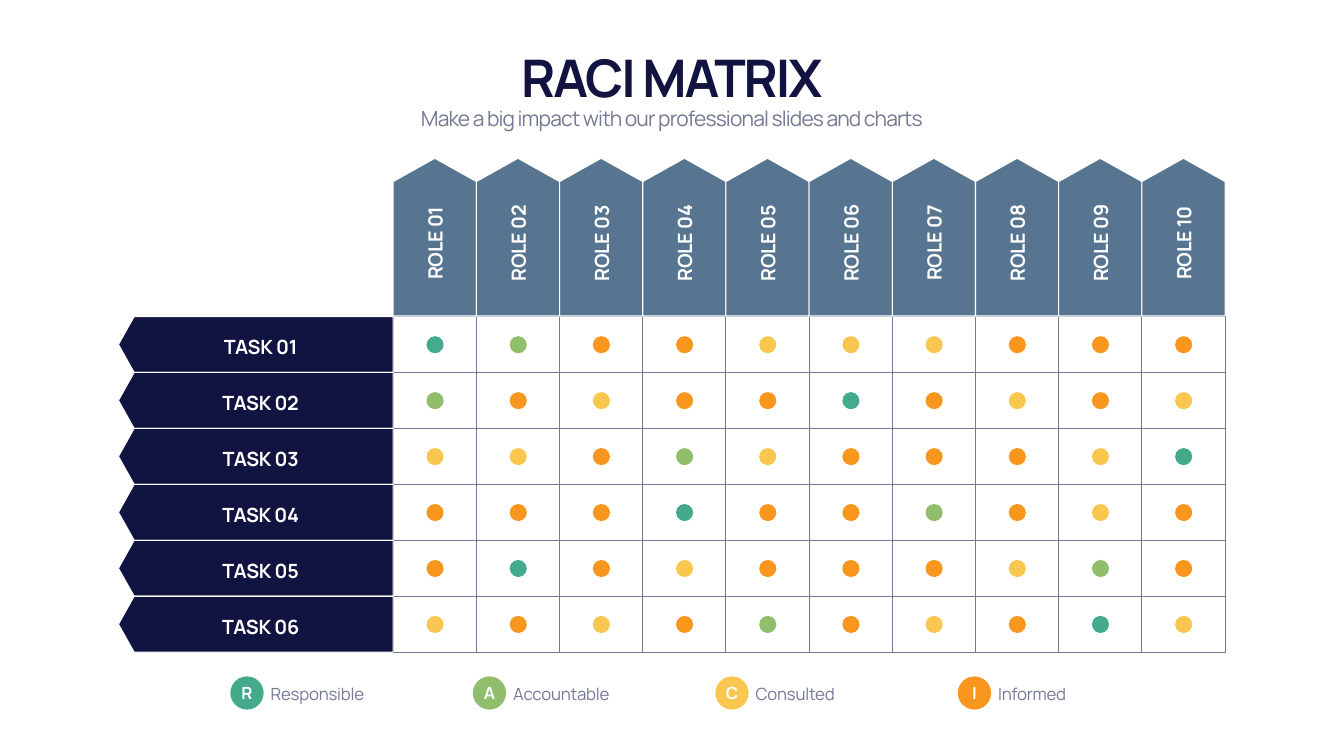
import dataclasses

import lxml.etree
import pptx
import pptx.dml.color
import pptx.enum.shapes
import pptx.enum.text
import pptx.oxml.ns
import pptx.util

SCALE = 9144
SHAPE = pptx.enum.shapes.MSO_SHAPE
ALIGN = pptx.enum.text.PP_ALIGN
ANCHOR = pptx.enum.text.MSO_ANCHOR
FIT = pptx.enum.text.MSO_AUTO_SIZE


@dataclasses.dataclass(frozen=True)
class Theme:
    font: str = "Manrope"
    navy: str = "111340"
    slate: str = "577590"
    grey: str = "747994"
    white: str = "FFFFFF"
    title_size: int = 74
    subtitle_size: int = 30
    label_size: int = 28
    legend_size: int = 24
    line_width: float = 1.5


THEME = Theme()
DUTIES = {
    "R": ("Responsible", "43AA8B"),
    "A": ("Accountable", "90BE6D"),
    "C": ("Consulted", "F9C74F"),
    "I": ("Informed", "F8961E"),
}
ASSIGNMENTS = [
    "RAIICCCIII",
    "AICIIRICIC",
    "CCIACIIICR",
    "IIIRIIAICI",
    "IRICIIICAI",
    "CICIAICIRC",
]
COLUMN_WIDTH, ROW_HEIGHT = 165, 111
MATRIX_LEFT, MATRIX_TOP = 780, 628
DOT_SIZE = 34


def px(*lengths):
    return [pptx.util.Emu(length * SCALE) for length in lengths]


def color(value):
    return pptx.dml.color.RGBColor.from_string(value)


def apply_format(target, values):
    for name, value in values.items():
        setattr(target, name, value)


def write(shape, text, size, text_color, bold=True, align=ALIGN.CENTER,
          anchor=ANCHOR.MIDDLE, spacing=-30, fit=FIT.SHAPE_TO_FIT_TEXT):
    side, edge = px(5, 2)
    frame = shape.text_frame
    apply_format(frame, {
        "word_wrap": True, "auto_size": fit, "vertical_anchor": anchor,
        "margin_left": side, "margin_right": side,
        "margin_top": edge, "margin_bottom": edge,
    })
    paragraph = frame.paragraphs[0]
    apply_format(paragraph, {"alignment": align, "line_spacing": 1.0})
    run = paragraph.add_run()
    run.text = text
    apply_format(run.font, {"name": THEME.font, "size": pptx.util.Pt(size), "bold": bold})
    run.font.color.rgb = color(text_color)
    run.font._element.set("spc", str(spacing))


def add_text(shapes, box, text, size, text_color, **options):
    shape = shapes.add_textbox(*px(*box))
    write(shape, text, size, text_color, **options)
    return shape


def add_filled(shapes, kind, box, fill, outline=None):
    shape = shapes.add_shape(kind, *px(*box))
    shape.shadow.inherit = False
    shape.fill.solid()
    shape.fill.fore_color.rgb = color(fill)
    if outline:
        shape.line.color.rgb = color(outline)
        shape.line.width = pptx.util.Pt(THEME.line_width)
    else:
        shape.line.fill.background()
    return shape


def add_header(slide, left, top, width):
    title = slide.shapes.title
    title_box = px(left, top, width, 135)
    apply_format(title, dict(zip(("left", "top", "width", "height"), title_box)))
    write(title, "RACI MATRIX", THEME.title_size, THEME.navy,
          anchor=ANCHOR.BOTTOM, spacing=-290)
    add_text(slide.shapes, (left, top + 125, width, 61),
             "Make a big impact with our professional slides and charts",
             THEME.subtitle_size, THEME.grey, bold=False,
             anchor=ANCHOR.TOP, spacing=-120)


def add_borders(cell):
    properties = cell._tc.get_or_add_tcPr()
    for index, side in enumerate(("lnL", "lnR", "lnT", "lnB")):
        line = lxml.etree.Element(pptx.oxml.ns.qn(f"a:{side}"))
        line.set("w", str(pptx.util.Pt(THEME.line_width)))
        fill = lxml.etree.SubElement(line, pptx.oxml.ns.qn("a:solidFill"))
        lxml.etree.SubElement(fill, pptx.oxml.ns.qn("a:srgbClr"), val=THEME.grey)
        properties.insert(index, line)


def add_grid(slide, left, top):
    rows, columns = len(ASSIGNMENTS), len(ASSIGNMENTS[0])
    box = px(left, top, columns * COLUMN_WIDTH, rows * ROW_HEIGHT)
    table = slide.shapes.add_table(rows, columns, *box).table
    apply_format(table, {"first_row": False, "horz_banding": False})
    for column in table.columns:
        column.width = px(COLUMN_WIDTH)[0]
    for row in table.rows:
        row.height = px(ROW_HEIGHT)[0]
    for cell in table.iter_cells():
        cell.fill.background()
        add_borders(cell)


def add_role(slide, left, top, width, height, text):
    shapes = slide.shapes.add_group_shape().shapes
    shift = (height - width) // 2
    arrow = add_filled(shapes, SHAPE.PENTAGON,
                       (left - shift, top + shift, height, width),
                       THEME.slate, THEME.white)
    label = add_text(shapes, (left - 54, top + 140, 273, 57), text,
                     THEME.label_size, THEME.white)
    arrow.adjustments[0] = 0.28
    arrow.rotation = label.rotation = 270


def add_task(slide, left, top, width, height, text):
    shapes = slide.shapes.add_group_shape().shapes
    arrow = add_filled(shapes, SHAPE.PENTAGON, (left, top, width, height),
                       THEME.navy, THEME.white)
    arrow.adjustments[0] = 0.28
    arrow.rotation = 180
    add_text(shapes, (left + 36, top + 31, 492, 57), text,
             THEME.label_size, THEME.white)


def add_dots(slide, left, top):
    inset_x = (COLUMN_WIDTH - DOT_SIZE + 1) // 2
    inset_y = (ROW_HEIGHT - DOT_SIZE + 1) // 2
    for row, duties in enumerate(ASSIGNMENTS):
        for column, duty in enumerate(duties):
            box = (left + column * COLUMN_WIDTH + inset_x,
                   top + row * ROW_HEIGHT + inset_y, DOT_SIZE, DOT_SIZE)
            add_filled(slide.shapes, SHAPE.OVAL, box, DUTIES[duty][1])


def add_legend(slide, left, top, step):
    for index, (letter, (name, fill)) in enumerate(DUTIES.items()):
        item_left = left + index * step
        badge = add_filled(slide.shapes, SHAPE.OVAL, (item_left, top, 66, 66), fill)
        write(badge, letter, THEME.legend_size, THEME.white, fit=FIT.NONE)
        add_text(slide.shapes, (item_left + 75, top + 10, 234, 50), name,
                 THEME.legend_size, THEME.grey, bold=False, align=ALIGN.LEFT)


def main():
    presentation = pptx.Presentation()
    presentation.slide_width, presentation.slide_height = px(2666, 1500)
    slide = presentation.slides.add_slide(presentation.slide_layouts[5])
    add_header(slide, 166, 82, 2333)
    add_grid(slide, MATRIX_LEFT, MATRIX_TOP)
    add_legend(slide, 457, 1342, 481)
    for column in range(len(ASSIGNMENTS[0])):
        add_role(slide, MATRIX_LEFT + column * COLUMN_WIDTH, 314,
                 COLUMN_WIDTH, 313, f"ROLE {column + 1:02}")
    for row in range(len(ASSIGNMENTS)):
        add_task(slide, 235, MATRIX_TOP + row * ROW_HEIGHT,
                 545, ROW_HEIGHT, f"TASK {row + 1:02}")
    add_dots(slide, MATRIX_LEFT, MATRIX_TOP)
    presentation.save("out.pptx")


if __name__ == "__main__":
    main()
